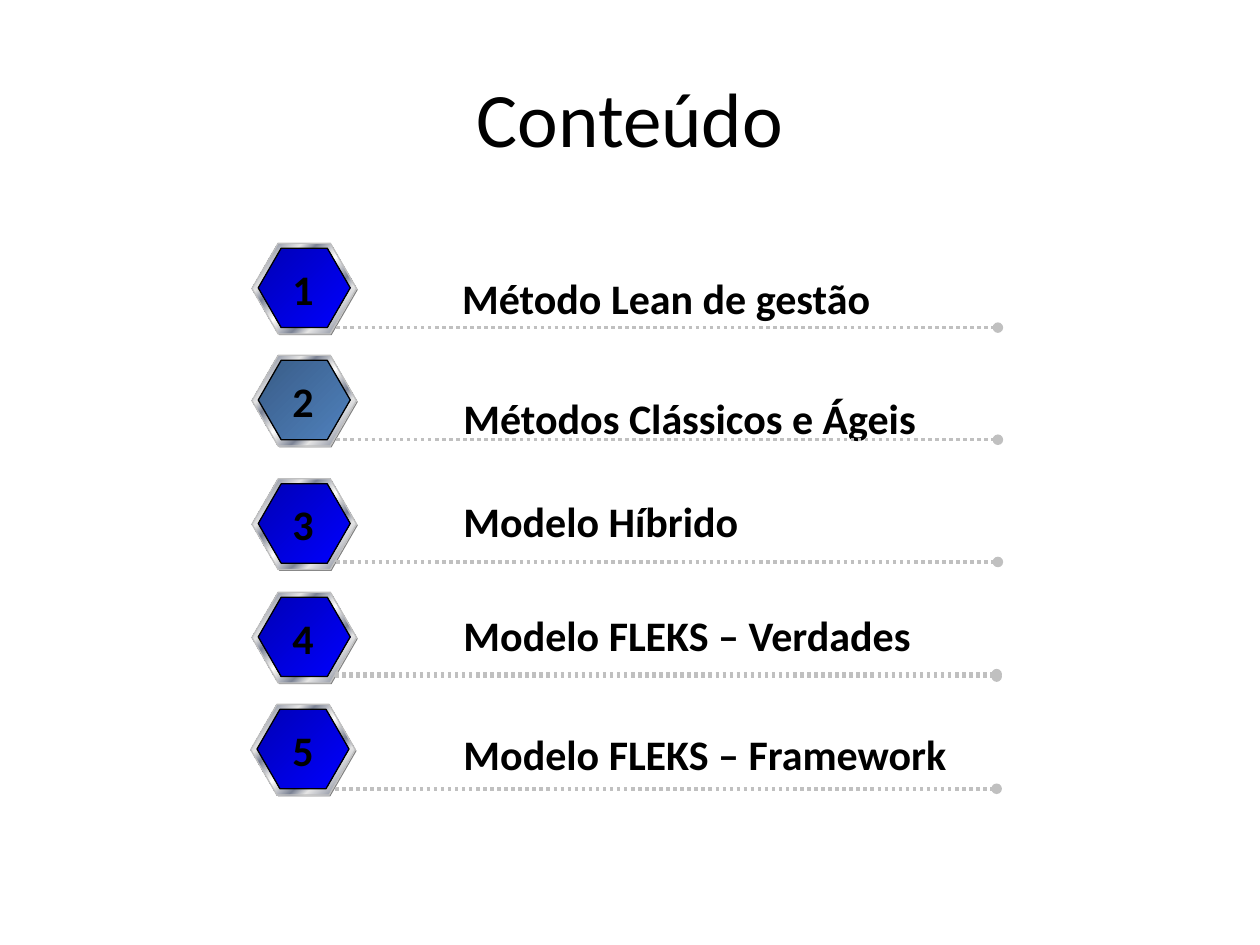
from dataclasses import dataclass

from lxml.etree import SubElement
from pptx import Presentation
from pptx.dml.color import RGBColor
from pptx.enum.dml import MSO_LINE
from pptx.enum.shapes import MSO_CONNECTOR, MSO_SHAPE
from pptx.enum.text import MSO_ANCHOR, MSO_AUTO_SIZE, PP_ALIGN
from pptx.oxml.ns import qn
from pptx.util import Inches, Pt

BLACK = RGBColor(0x00, 0x00, 0x00)
WHITE = RGBColor(0xFF, 0xFF, 0xFF)
GRAY = RGBColor(0x80, 0x80, 0x80)
SILVER = RGBColor(0xC0, 0xC0, 0xC0)
LIGHT = RGBColor(0xE6, 0xE6, 0xE6)
STEEL = RGBColor(0x7D, 0x84, 0x96)
NAVY = RGBColor(0x00, 0x00, 0xB6)
BLUE = RGBColor(0x00, 0x00, 0xFF)
SLATE = RGBColor(0x39, 0x5C, 0x87)
SKY = RGBColor(0x4F, 0x81, 0xBD)

FONT = "Calibri"
WIDTH, HEIGHT = Inches(10), Inches(7.5)
COL, ROW = WIDTH / 100, HEIGHT / 75

CHROME = [(0, LIGHT), (8, STEEL), (26, LIGHT), (34, STEEL), (46, LIGHT), (50, WHITE),
          (54, LIGHT), (66, STEEL), (74, LIGHT), (93, STEEL), (100, LIGHT)]
DEEP = [(0, NAVY), (100, BLUE)]
MUTED = [(0, SLATE), (100, SKY)]


@dataclass
class Item:
    text: str
    row: float
    label_row: float
    label_cols: float
    col: float = 20
    rule_col: float = 26.7
    label_col: float = 35.8
    rules: tuple = (6.7,)
    face: tuple = tuple(DEEP)


ITEMS = [
    Item("Método Lean de gestão", 19.3, 21.1, 34.7, label_col=35.7),
    Item("Métodos Clássicos e Ágeis", 28.2, 30.7, 38.3, face=tuple(MUTED)),
    Item("Modelo Híbrido", 38, 38.8, 24, rules=(6.6,)),
    Item("Modelo FLEKS – Verdades", 47, 47.9, 37.9, rule_col=26.6, rules=(6.7, 6.5)),
    Item("Modelo FLEKS – Framework", 55.9, 57.3, 41.5, col=19.9, rule_col=26.6),
]


def box(col: float, row: float, cols: float, rows: float) -> tuple:
    return round(col * COL), round(row * ROW), round(cols * COL), round(rows * ROW)


def write(tf, text: str, size: float = 24, bold: bool = True, align=PP_ALIGN.LEFT) -> None:
    p = tf.paragraphs[0]
    p.alignment = align
    r = p.add_run()
    r.text = text
    r.font.name = FONT
    r.font.size = Pt(size)
    r.font.bold = bold
    r.font.color.rgb = BLACK


def fill_gradient(sp, stops) -> None:
    sp.fill.gradient()
    sp.fill.gradient_angle = 315
    gs_lst = sp._element.spPr.find(qn("a:gradFill")).find(qn("a:gsLst"))
    for gs in list(gs_lst):
        gs_lst.remove(gs)
    for pos, color in stops:
        gs = SubElement(gs_lst, qn("a:gs"), pos=str(pos * 1000))
        SubElement(gs, qn("a:srgbClr"), val=str(color))


def add_hexagon(shapes, place: tuple, stops=None, line: RGBColor | None = None) -> None:
    sp = shapes.add_shape(MSO_SHAPE.HEXAGON, *place)
    sp.shadow.inherit = False
    sp.adjustments[0] = 0.289
    sp.adjustments[1] = 1.155
    if stops:
        fill_gradient(sp, stops)
    else:
        sp.fill.solid()
        sp.fill.fore_color.rgb = GRAY
    if line is None:
        sp.line.fill.background()
    else:
        sp.line.color.rgb = line
        sp.line.width = Pt(0.75)


def add_badge(shapes, col: float, row: float, face) -> None:
    group = shapes.add_group_shape().shapes
    add_hexagon(group, box(col + 0.1, row + 0.1, 8.3, 7.2))
    add_hexagon(group, box(col, row, 8.3, 7.2), CHROME, SILVER)
    add_hexagon(group, box(col + 0.5, row + 0.4, 7.3, 6.3), face, BLACK)


def add_rule(shapes, col: float, row: float) -> None:
    x, y, w, _ = box(col, row, 52.5, 0)
    cxn = shapes.add_connector(MSO_CONNECTOR.STRAIGHT, x, y, x + w, y)
    cxn.line.color.rgb = SILVER
    cxn.line.width = Pt(2)
    cxn.line.dash_style = MSO_LINE.ROUND_DOT
    SubElement(cxn.line._get_or_add_ln(), qn("a:tailEnd"), type="oval")
    SubElement(cxn._element.spPr, qn("a:effectLst"))


def add_label(shapes, place: tuple, text: str, align=PP_ALIGN.LEFT) -> None:
    tf = shapes.add_textbox(*place).text_frame
    tf.word_wrap = False
    tf.auto_size = MSO_AUTO_SIZE.SHAPE_TO_FIT_TEXT
    write(tf, text, align=align)


def add_item(shapes, number: int, item: Item) -> None:
    add_badge(shapes, item.col, item.row, item.face)
    add_label(shapes, box(item.label_col, item.label_row, item.label_cols, 5), item.text)
    for offset in item.rules:
        add_rule(shapes, item.rule_col, item.row + offset)
    add_label(shapes, box(22.2, item.row + 1.1, 3.7, 5), str(number), PP_ALIGN.CENTER)


def main() -> None:
    prs = Presentation()
    prs.slide_width, prs.slide_height = WIDTH, HEIGHT
    slide = prs.slides.add_slide(prs.slide_layouts[5])
    title = slide.shapes.title
    title.left, title.top, title.width, title.height = box(5, 3, 90, 12.5)
    title.text_frame.vertical_anchor = MSO_ANCHOR.MIDDLE
    write(title.text_frame, "Conteúdo", size=44, bold=False, align=PP_ALIGN.CENTER)
    for number, item in enumerate(ITEMS, 1):
        add_item(slide.shapes, number, item)
    prs.save("out.pptx")


if __name__ == "__main__":
    main()
